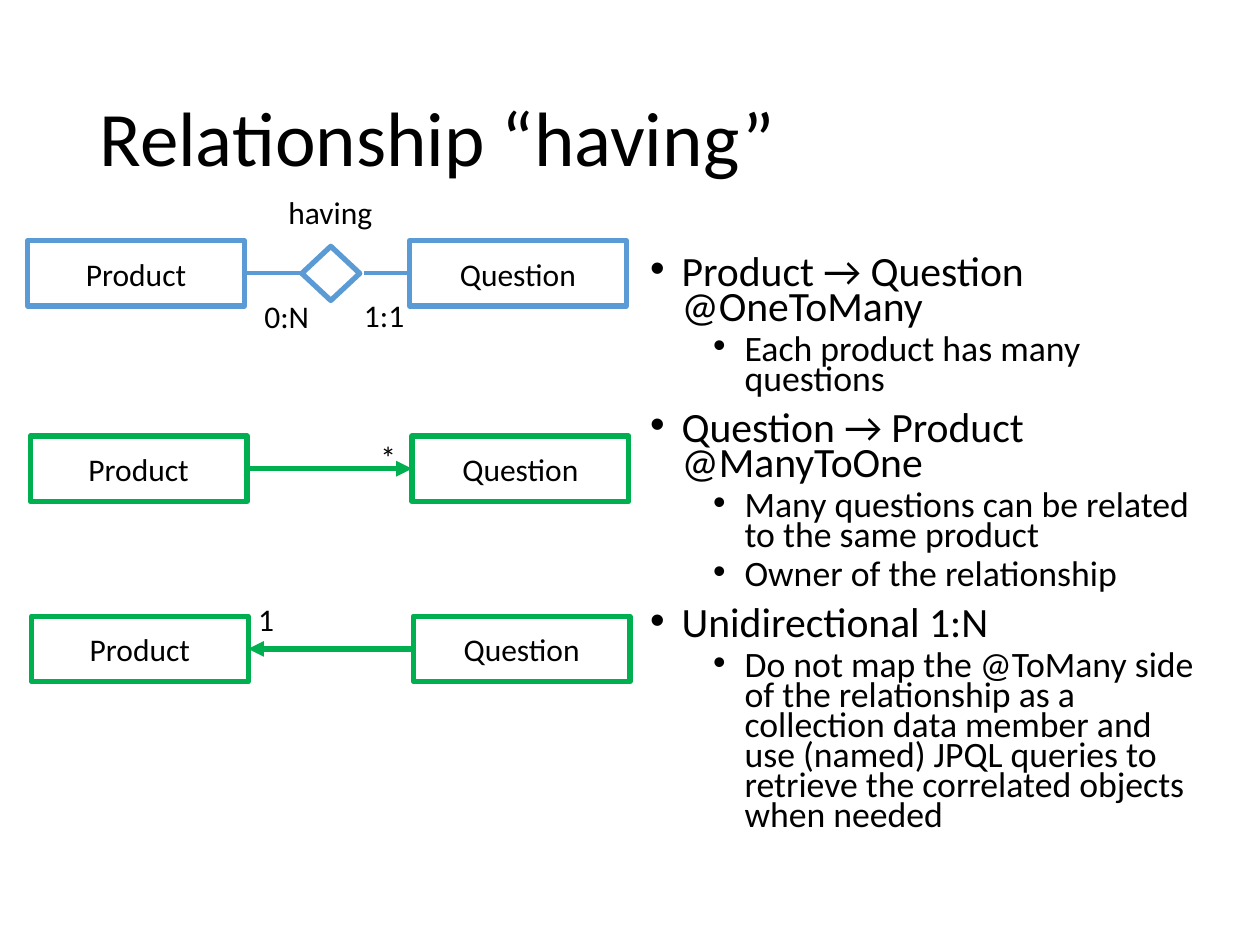
"""Build a slide on the relationship between products and questions."""
import pptx
import pptx.util
import pptx.dml.color
import pptx.enum.shapes
import pptx.enum.text
import pptx.oxml
import pptx.oxml.ns
import lxml.etree

FONT, BLACK, WHITE, BLUE, GREEN = "Calibri", "000000", "FFFFFF", "5B9BD5", "00B050"
WIDE, HIGH = 10, 7.5
BOX_W, BOX_H, STEP = 1.72, 0.52, 3.03

TITLE = "Relationship “having”"
POINTS = [
    (0, "Product → Question @OneToMany"),
    (1, "Each product has many questions"),
    (0, "Question → Product @ManyToOne"),
    (1, "Many questions can be related to the same product"),
    (1, "Owner of the relationship"),
    (0, "Unidirectional 1:N"),
    (1, "Do not map the @ToMany side of the relationship as a collection data "
        "member and use (named) JPQL queries to retrieve the correlated objects "
        "when needed"),
]
LEVELS = [(23.8, 10, 0.25), (20.4, 5, 0.75)]
ROWS = [
    (0.22, 1.91, BLUE, WHITE, None),
    (0.24, 3.46, GREEN, None, "headEnd"),
    (0.25, 4.89, GREEN, None, "tailEnd"),
]
LABELS = [
    ("1:1", 2.79, 2.3, 0.53), ("0:N", 2, 2.31, 0.56), ("having", 2.19, 1.48, 0.88),
    ("*", 2.92, 3.43, 0.33), ("1", 1.95, 4.71, 0.33),
]

inch, pt = pptx.util.Inches, pptx.util.Pt
KIND = pptx.enum.shapes.MSO_SHAPE
ALIGN = pptx.enum.text.PP_ALIGN
ANCHOR = pptx.enum.text.MSO_ANCHOR
FIT = pptx.enum.text.MSO_AUTO_SIZE


def paint(part, color):
    part.solid()
    part.fore_color.rgb = pptx.dml.color.RGBColor.from_string(color)


def write(para, text, size=18):
    run = para.add_run()
    run.text = text
    run.font.name, run.font.size = FONT, pt(size)
    paint(run.font.fill, BLACK)


def place(shape, *area):
    shape.left, shape.top, shape.width, shape.height = map(inch, area)


def add_box(slide, kind, area, line, fill):
    box = slide.shapes.add_shape(kind, *map(inch, area))
    box.shadow.inherit = False
    if fill:
        paint(box.fill, fill)
    else:
        box.fill.background()
    paint(box.line.fill, line)
    box.line.width = pt(3)
    return box


def add_name(slide, text, left, top, line, fill):
    box = add_box(slide, KIND.RECTANGLE, (left, top, BOX_W, BOX_H), line, fill)
    box.text_frame.vertical_anchor = ANCHOR.MIDDLE
    para = box.text_frame.paragraphs[0]
    para.alignment = ALIGN.CENTER
    write(para, text)
    return box


def add_link(slide, start, end, y, color, width, tip=None):
    link = slide.shapes.add_connector(
        pptx.enum.shapes.MSO_CONNECTOR.STRAIGHT,
        inch(start), inch(y), inch(end), inch(y))
    paint(link.line.fill, color)
    link.line.width = pt(width)
    if tip:
        mark = lxml.etree.SubElement(
            link.line._get_or_add_ln(), pptx.oxml.ns.qn("a:" + tip))
        mark.set("type", "triangle")
    lxml.etree.SubElement(link._element.spPr, pptx.oxml.ns.qn("a:effectLst"))
    return link


def add_row(slide, left, top, color, fill, tip):
    right, mid = left + STEP, top + BOX_H / 2
    many = add_name(slide, "Question", right, top, color, fill)
    one = add_name(slide, "Product", left, top, color, fill)
    edge = left + BOX_W
    if tip:
        link = add_link(slide, right, edge, mid, color, 3, tip)
        link.begin_connect(many, 1)
        link.end_connect(one, 3)
    else:
        gem = add_box(slide, KIND.DIAMOND, (2.41, 1.94, 0.43, 0.46), color, fill)
        gem.rotation = 90
        add_link(slide, right, 2.89, mid, color, 2.25).begin_connect(many, 1)
        add_link(slide, 2.4, edge, mid, color, 2.25).end_connect(one, 3)


def add_label(slide, text, left, top, width):
    box = slide.shapes.add_textbox(*map(inch, (left, top, width, 0.4)))
    box.text_frame.word_wrap = False
    box.text_frame.auto_size = FIT.SHAPE_TO_FIT_TEXT
    write(box.text_frame.paragraphs[0], text)


def fill_title(title):
    place(title, 0.69, 0.4, 8.62, 1.45)
    frame = title.text_frame
    frame.vertical_anchor, frame.auto_size = ANCHOR.MIDDLE, FIT.NONE
    para = frame.paragraphs[0]
    para.alignment, para.line_spacing = ALIGN.LEFT, 0.9
    write(para, TITLE, 44)


def fill_body(body):
    place(body, 5.06, 2, 4.61, 4.76)
    frame = body.text_frame
    frame.word_wrap, frame.auto_size = True, FIT.NONE
    for i, (level, text) in enumerate(POINTS):
        para = frame.add_paragraph() if i else frame.paragraphs[0]
        size, gap, left = LEVELS[level]
        para.level, para.line_spacing = level, 0.7
        para.space_before, para.space_after = pt(gap), pt(0)
        prop = para._p.get_or_add_pPr()
        prop.set("marL", str(inch(left)))
        prop.set("indent", str(inch(-0.25)))
        face = lxml.etree.SubElement(prop, pptx.oxml.ns.qn("a:buFont"))
        face.set("typeface", "Arial")
        dot = lxml.etree.SubElement(prop, pptx.oxml.ns.qn("a:buChar"))
        dot.set("char", "•")
        write(para, text, size)


def main():
    deck = pptx.Presentation()
    deck.slide_width, deck.slide_height = inch(WIDE), inch(HIGH)
    slide = deck.slides.add_slide(deck.slide_layouts[1])
    fill_title(slide.shapes.title)
    for row in ROWS:
        add_row(slide, *row)
    for label in LABELS:
        add_label(slide, *label)
    fill_body(slide.placeholders[1])
    deck.save("out.pptx")


if __name__ == "__main__":
    main()
